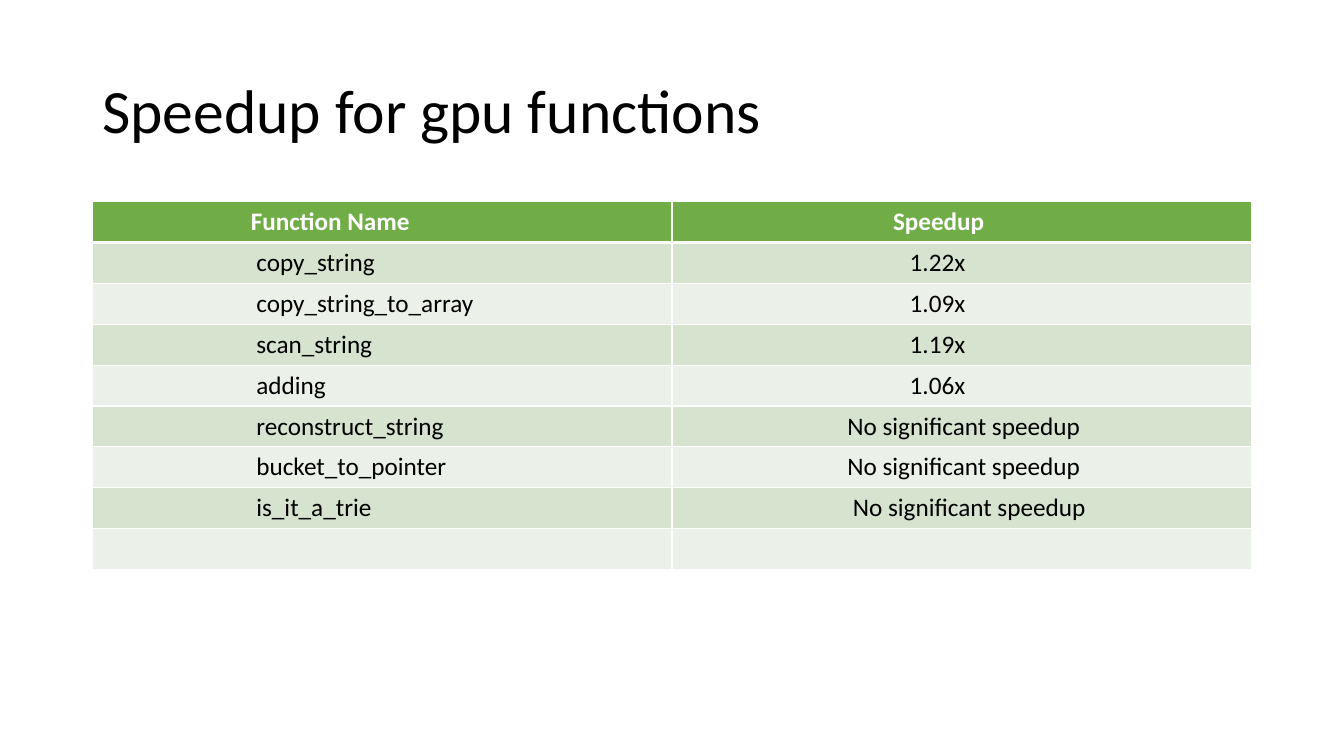
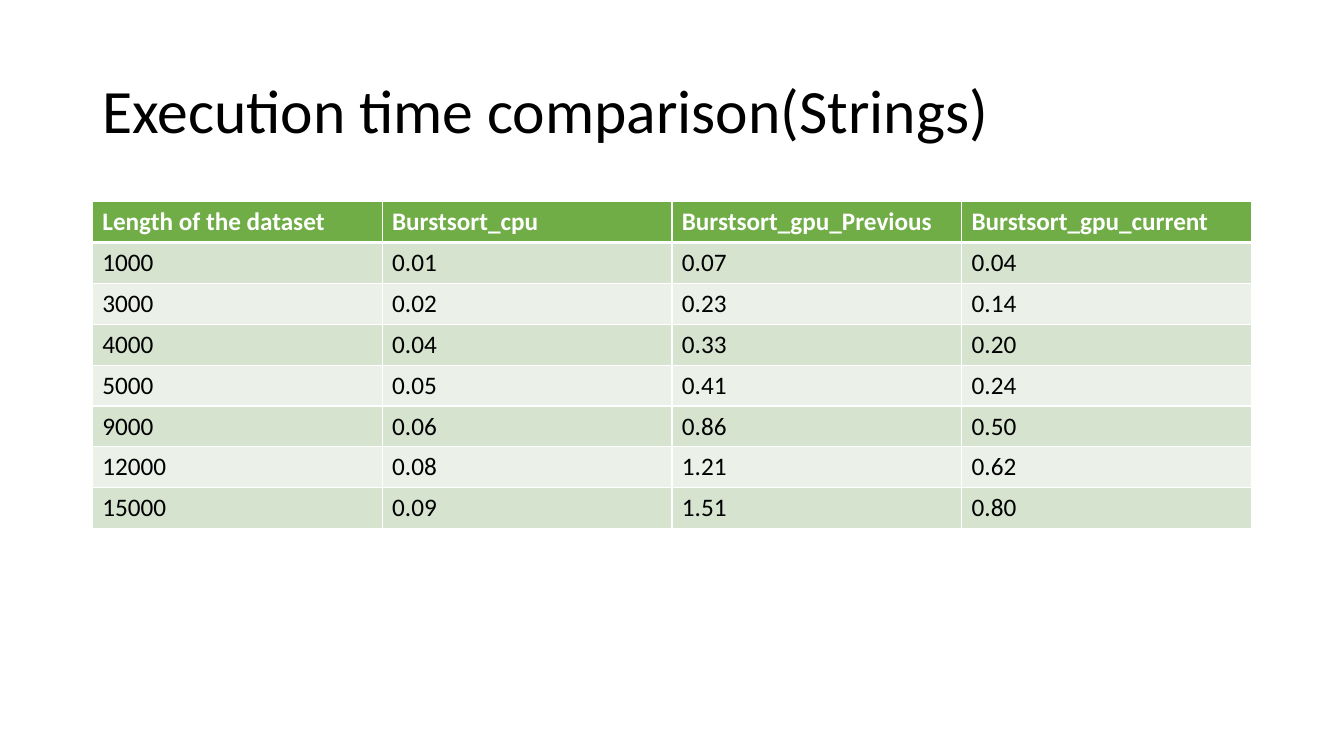
from collections import namedtuple
from dataclasses import dataclass

from lxml import etree
from pptx import Presentation
from pptx.dml.color import RGBColor
from pptx.enum.text import MSO_ANCHOR
from pptx.oxml.ns import qn
from pptx.util import Cm, Pt

MIDDLE = MSO_ANCHOR.MIDDLE
BLANK_LAYOUT = 6

Box = namedtuple("Box", "left top width height")
Entry = namedtuple("Entry", "text indent")


@dataclass(frozen=True)
class Theme:
    """Colours, type sizes and line widths that the slides share."""
    font: str = "Calibri"
    title_size: float = 44
    cell_size: float = 18
    ink: str = "000000"
    paper: str = "FFFFFF"
    header: str = "70AD47"
    bands: tuple = ("D5E3CF", "EBF1E9")
    rule: float = 1
    header_rule: float = 3


THEME = Theme()
TITLE_BOX = Box(Cm(2.33), Cm(1.01), Cm(29.21), Cm(3.68))
TABLE_BOX = Box(Cm(2.33), Cm(5.08), Cm(29.21), None)
ROW_HEIGHT = Cm(1.03)
CELL_INDENT = 0.25

FUNCTION_INDENT = 4.13
FACTOR_INDENT = 5.99
REMARK_INDENT = 4.42
NO_SPEEDUP = Entry("No significant speedup", REMARK_INDENT)

SPEEDUP_HEADER = [Entry("Function Name", 3.99), Entry("Speedup", 5.57)]
SPEEDUPS = [
    ("copy_string", Entry("1.22x", FACTOR_INDENT)),
    ("copy_string_to_array", Entry("1.09x", FACTOR_INDENT)),
    ("scan_string", Entry("1.19x", FACTOR_INDENT)),
    ("adding", Entry("1.06x", FACTOR_INDENT)),
    ("reconstruct_string", NO_SPEEDUP),
    ("bucket_to_pointer", NO_SPEEDUP),
    ("is_it_a_trie", Entry("No significant speedup", 4.56)),
    ("", Entry("", CELL_INDENT)),
]

TIMES = [
    ("Length of the dataset", "Burstsort_cpu", "Burstsort_gpu_Previous", "Burstsort_gpu_current"),
    ("1000", "0.01", "0.07", "0.04"),
    ("3000", "0.02", "0.23", "0.14"),
    ("4000", "0.04", "0.33", "0.20"),
    ("5000", "0.05", "0.41", "0.24"),
    ("9000", "0.06", "0.86", "0.50"),
    ("12000", "0.08", "1.21", "0.62"),
    ("15000", "0.09", "1.51", "0.80"),
]


def add_span(para, text, size, color, bold=False):
    """Add one formatted run to a paragraph."""
    span = para.add_run()
    span.text = text
    span.font.name = THEME.font
    span.font.size = Pt(size)
    span.font.bold = bold
    span.font.color.rgb = RGBColor.from_string(color)


def add_title(page, box, text):
    """Place the slide title in its box."""
    frame = page.shapes.add_textbox(*box).text_frame
    frame.word_wrap = True
    frame.vertical_anchor = MIDDLE
    para = frame.paragraphs[0]
    para.line_spacing = 0.9
    add_span(para, text, THEME.title_size, THEME.ink)


def set_borders(cell, top, bottom):
    """Draw the four borders of a cell, with widths in points."""
    properties = cell._tc.get_or_add_tcPr()
    widths = {"a:lnL": THEME.rule, "a:lnR": THEME.rule, "a:lnT": top, "a:lnB": bottom}
    for tag, width in widths.items():
        line = etree.SubElement(properties, qn(tag), w=str(Pt(width)))
        fill = etree.SubElement(line, qn("a:solidFill"))
        etree.SubElement(fill, qn("a:srgbClr"), val=THEME.paper)


def fill_cell(cell, entry, row):
    """Style one cell by its row and write its entry."""
    is_header = row == 0
    set_borders(
        cell,
        top=THEME.header_rule if row == 1 else THEME.rule,
        bottom=THEME.header_rule if is_header else THEME.rule,
    )
    color = THEME.header if is_header else THEME.bands[(row - 1) % 2]
    cell.fill.solid()
    cell.fill.fore_color.rgb = RGBColor.from_string(color)
    cell.margin_left = Cm(entry.indent)
    if entry.text:
        ink = THEME.paper if is_header else THEME.ink
        add_span(cell.text_frame.paragraphs[0], entry.text, THEME.cell_size, ink, is_header)


def add_banded_table(page, box, rows):
    """Place a table of equal columns and banded rows in its box."""
    columns = len(rows[0])
    height = ROW_HEIGHT * len(rows)
    table = page.shapes.add_table(len(rows), columns, box.left, box.top, box.width, height).table
    for column in table.columns:
        column.width = box.width // columns
    for row, entries in enumerate(rows):
        table.rows[row].height = ROW_HEIGHT
        for column, entry in enumerate(entries):
            fill_cell(table.cell(row, column), entry, row)


def add_table_page(deck, title, rows):
    """Add a slide with a title above a table."""
    page = deck.slides.add_slide(deck.slide_layouts[BLANK_LAYOUT])
    add_title(page, TITLE_BOX, title)
    add_banded_table(page, TABLE_BOX, rows)


def main():
    """Build and save the deck."""
    deck = Presentation()
    deck.slide_width, deck.slide_height = Cm(33.87), Cm(19.05)
    speedup_rows = [[Entry(name, FUNCTION_INDENT), result] for name, result in SPEEDUPS]
    time_rows = [[Entry(text, CELL_INDENT) for text in texts] for texts in TIMES]
    add_table_page(deck, "Speedup for gpu functions", [SPEEDUP_HEADER] + speedup_rows)
    add_table_page(deck, "Execution time comparison(Strings)", time_rows)
    deck.save("out.pptx")


main()
